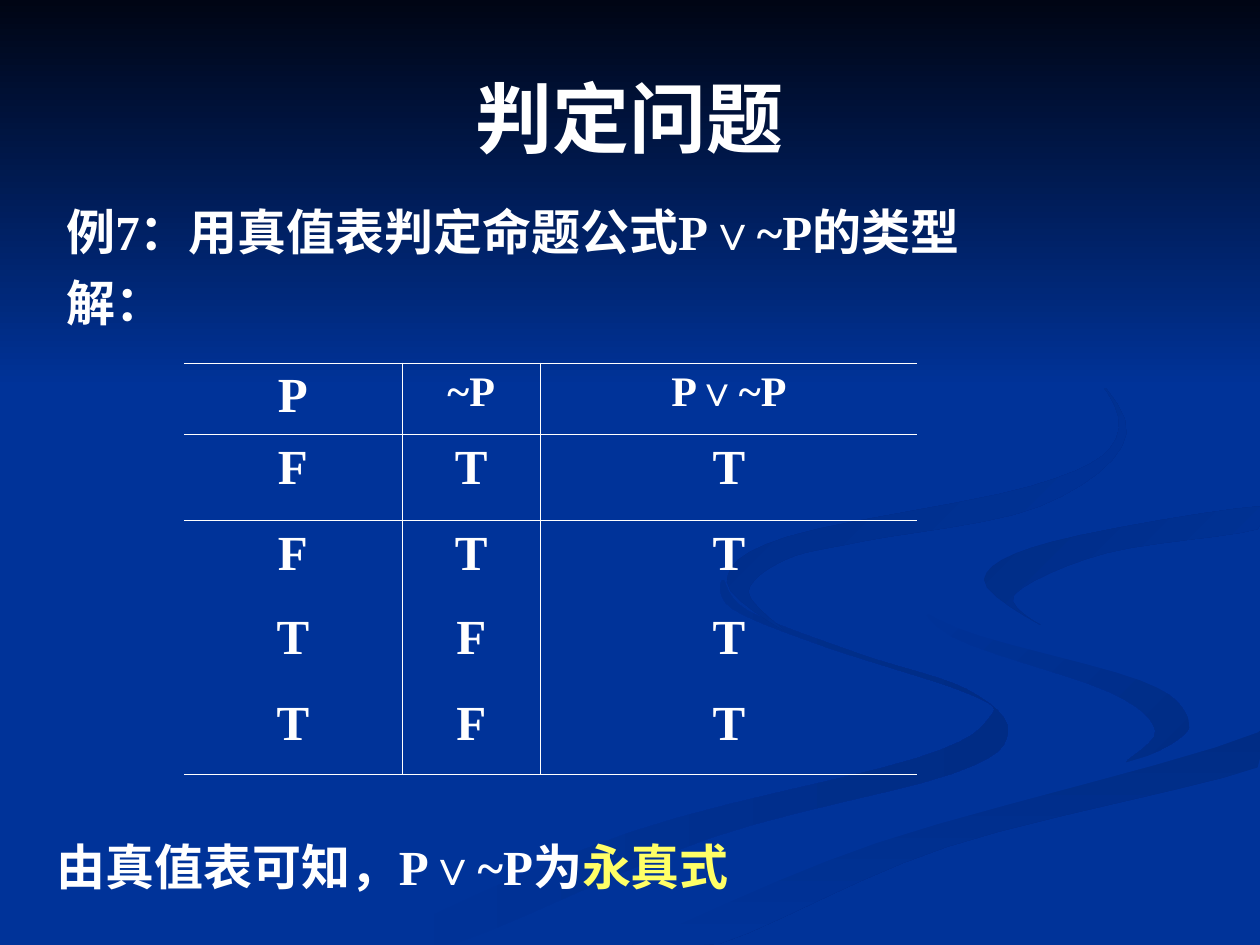
from lxml import etree
from pptx import Presentation
from pptx.dml.color import RGBColor
from pptx.enum.shapes import MSO_SHAPE
from pptx.enum.text import MSO_ANCHOR, PP_ALIGN
from pptx.oxml.ns import qn
from pptx.util import Inches, Pt

COLORS = {
    "blue": "003399",
    "shade": "002C85",
    "night": "000514",
    "white": "FFFFFF",
    "yellow": "FFFF66",
}
FONT = "Times New Roman"
NO_STYLE_TABLE = "{2D5ABB26-0587-4C30-8999-92F81FD0307C}"


def write(frame, *lines, size=28, align=PP_ALIGN.LEFT, anchor=MSO_ANCHOR.TOP, hanging=0):
    """Fill a text frame; each line is a list of (text, colour name) runs."""
    frame.word_wrap = True
    frame.vertical_anchor = anchor
    for index, runs in enumerate(lines):
        paragraph = frame.add_paragraph() if index else frame.paragraphs[0]
        paragraph.alignment = align
        if index:
            paragraph.space_before = Pt(7)
        if hanging:
            properties = paragraph._p.get_or_add_pPr()
            properties.set("marL", str(Inches(hanging)))
            properties.set("indent", str(-Inches(hanging)))
        for text, color in runs:
            run = paragraph.add_run()
            run.text = text
            run.font.name = FONT
            run.font.size = Pt(size)
            run.font.bold = True
            run.font.color.rgb = RGBColor.from_string(COLORS[color])


def paint(shape, start, end, angle):
    """Fill with a two-colour gradient, angle clockwise, without outline or shadow."""
    shape.shadow.inherit = False
    shape.line.fill.background()
    shape.fill.gradient()
    shape.fill.gradient_angle = (360 - angle) % 360
    for stop, color in zip(shape.fill.gradient_stops, (start, end)):
        stop.color.rgb = RGBColor.from_string(COLORS[color])


presentation = Presentation()
presentation.slide_width = Inches(10)
presentation.slide_height = Inches(7.5)
slide = presentation.slides.add_slide(presentation.slide_layouts[5])
slide.background.fill.solid()
slide.background.fill.fore_color.rgb = RGBColor.from_string(COLORS["blue"])

# Background ribbons: start colour, end colour, angle, outline points in inches
ribbons = [
    ("blue", "shade", 0, [
        (7.67, 5.47), (6.82, 5.19), (5.94, 4.85), (5.74, 4.6), (5.81, 4.83), (6.54, 5.13),
        (7.7, 5.51), (7.85, 5.7), (7.27, 6.02), (4.99, 6.61), (3, 7.49), (3.61, 7.49),
        (5.64, 6.65), (7.56, 6.14), (8, 5.81)]),
    ("blue", "shade", 45, [
        (9.43, 5.7), (9.05, 5.4), (7.58, 4.98), (7.24, 4.64), (7.55, 5.05), (8.8, 5.49),
        (9.17, 5.8), (8.94, 6.05), (9.32, 5.89)]),
    ("shade", "blue", 90, [
        (5.03, 7.49), (5.71, 7.49), (7.52, 6.72), (9.98, 6.09), (9.98, 5.81), (7.64, 6.47),
        (6.3, 6.93)]),
    ("blue", "blue", 0, [
        (7.25, 4.64), (7.59, 4.98), (9.05, 5.4), (9.43, 5.7), (9.11, 6), (7.04, 6.55),
        (4.77, 7.49), (5.03, 7.49), (6.96, 6.69), (9.99, 5.81), (9.99, 5.38), (8.48, 5.03),
        (7.81, 4.63), (8.5, 4.27), (9.99, 4.02), (9.99, 3.87), (8.08, 4.17)]),
    ("shade", "blue", 45, [
        (7.81, 4.6), (8.26, 4.96), (8.05, 4.72), (8.78, 4.39), (9.98, 4.2), (9.98, 4.02),
        (8.35, 4.3)]),
    ("shade", "blue", 45, [
        (6.83, 4.3), (8.25, 4.02), (8.94, 3.44), (8.43, 2.75), (7.62, 2.33), (8.62, 2.92),
        (8.86, 3.48), (8.18, 3.86), (6.25, 4.26), (5.77, 4.62), (6.22, 5), (5.94, 4.7),
        (6.24, 4.44)]),
]
STEPS = 6
for start, end, angle, outline in ribbons:
    # Closed Catmull-Rom curve through the outline, kept on the slide
    points = []
    for i, p1 in enumerate(outline):
        p0, p2, p3 = (outline[(i + k) % len(outline)] for k in (-1, 1, 2))
        for t in (step / STEPS for step in range(STEPS)):
            x, y = (b + t * (c - a + t * (2 * a - 5 * b + 4 * c - d
                                          + t * (3 * b - a - 3 * c + d))) / 2
                    for a, b, c, d in zip(p0, p1, p2, p3))
            points.append((Inches(min(x, 10)), Inches(min(y, 7.5))))
    builder = slide.shapes.build_freeform(*points[0])
    builder.add_line_segments(points[1:], close=True)
    paint(builder.convert_to_shape(), start, end, angle)

sky = slide.shapes.add_shape(MSO_SHAPE.RECTANGLE, 0, 0, Inches(10), Inches(3.08))
paint(sky, "night", "blue", 90)

# Title, brought in front of the background
title = slide.shapes.title
slide.shapes._spTree.append(title._element)
title.left, title.top, title.width, title.height = map(Inches, (0.5, 0.3, 9, 1.25))
write(title.text_frame, [("判定问题", "white")],
      size=44, align=PP_ALIGN.CENTER, anchor=MSO_ANCHOR.MIDDLE)

# Question
question = slide.shapes.add_textbox(Inches(0.43), Inches(1.55), Inches(8.98), Inches(1.26))
write(question.text_frame,
      [("例7：用真值表判定命题公式P∨~P的类型", "white")],
      [("解：", "white")], hanging=0.38)

# Truth table
rows = [("P", "~P", "P∨~P"), *["FTT"] * 2, *["TFT"] * 2]
column_widths = [1.73, 1.1, 2.99]
row_heights = [0.57] + [0.68, 0.67] * 2
table_frame = slide.shapes.add_table(
    len(rows), len(column_widths), Inches(1.46), Inches(2.88),
    Inches(sum(column_widths)), Inches(sum(row_heights)))
table = table_frame.table
table.first_row = table.horz_banding = False
table._tbl.tblPr.find(qn("a:tableStyleId")).text = NO_STYLE_TABLE
for column, width in zip(table.columns, column_widths):
    column.width = Inches(width)
for row, height in zip(table.rows, row_heights):
    row.height = Inches(height)

last_row, last_column = len(rows) - 1, len(column_widths) - 1
for i, values in enumerate(rows):
    for j, value in enumerate(values):
        cell = table.cell(i, j)
        write(cell.text_frame, [(value, "white")],
              size=24 if i == 0 and j > 0 else 28, align=PP_ALIGN.CENTER)
        borders = {"lnL": j > 0, "lnR": j < last_column,
                   "lnT": i < 2, "lnB": i in (0, last_row)}
        for side, visible in borders.items():
            if visible:
                line = etree.SubElement(cell._tc.get_or_add_tcPr(), qn(f"a:{side}"),
                                        w=str(Pt(0.45)))
                fill = etree.SubElement(line, qn("a:solidFill"))
                etree.SubElement(fill, qn("a:srgbClr"), val=COLORS["white"])
        cell.fill.background()

conclusion = slide.shapes.add_textbox(Inches(0.35), Inches(6.59), Inches(9.06), Inches(0.66))
write(conclusion.text_frame,
      [("由真值表可知，P∨~P为", "white"), ("永真式", "yellow")], hanging=0.38)

presentation.save("out.pptx")
